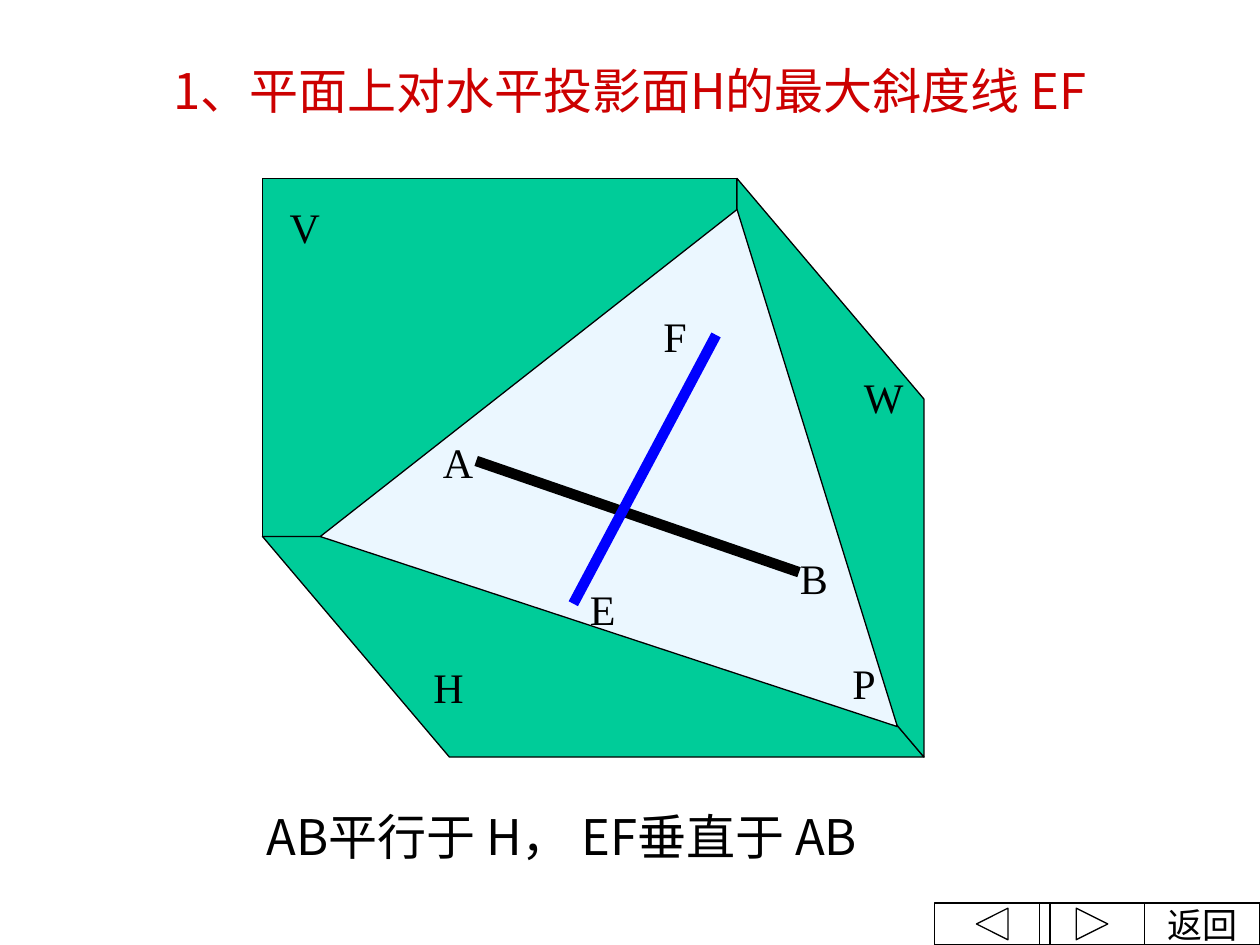
from dataclasses import dataclass

import lxml.etree
import pptx
import pptx.dml.color
import pptx.enum.shapes
import pptx.enum.text
import pptx.oxml.ns
import pptx.util

COLUMNS, ROWS = 120, 90
SHAPES = pptx.enum.shapes.MSO_SHAPE
ALIGN = pptx.enum.text.PP_ALIGN
LATIN, HAN, HAN_SC = "Times New Roman", "Noto Sans CJK JP", "Noto Sans CJK SC"
GREEN, PALE, BLACK, BLUE, RED = "00CC99", "EBF7FF", "000000", "0000FF", "CC0000"

Point = tuple[float, float]
Box = tuple[float, float, float, float]


@dataclass
class Plane:
    corners: list[Point]
    fill: str


@dataclass
class Label:
    text: str
    box: Box


@dataclass
class Segment:
    start: Point
    end: Point
    color: str


@dataclass
class Button:
    kind: pptx.enum.shapes.MSO_SHAPE
    left: float
    width: float
    text: str = ""


deck = pptx.Presentation()
deck.slide_width = pptx.util.Inches(10)
deck.slide_height = pptx.util.Inches(7.5)
slide = deck.slides.add_slide(deck.slide_layouts[6])


def x(column: float) -> int:
    return round(deck.slide_width * column / COLUMNS)


def y(row: float) -> int:
    return round(deck.slide_height * row / ROWS)


def place(box: Box) -> tuple[int, int, int, int]:
    left, top, width, height = box
    return x(left), y(top), x(width), y(height)


def rgb(color: str) -> pptx.dml.color.RGBColor:
    return pptx.dml.color.RGBColor.from_string(color)


def write(frame, text: str, *, size: float, color: str = BLACK, font: str = LATIN,
          align: ALIGN = ALIGN.LEFT) -> None:
    paragraph = frame.paragraphs[0]
    paragraph.alignment = align
    run = paragraph.add_run()
    run.text = text
    run.font.size = pptx.util.Pt(size)
    run.font.name = font
    run.font.color.rgb = rgb(color)
    east_asian = lxml.etree.SubElement(run._r.get_or_add_rPr(), pptx.oxml.ns.qn("a:ea"))
    east_asian.set("typeface", HAN if font == LATIN else font)


def add_frame(box: Box):
    frame = slide.shapes.add_textbox(*place(box)).text_frame
    frame.word_wrap = True
    return frame


def outline(shape, fill: str | None = None) -> None:
    shape.shadow.inherit = False
    if fill:
        shape.fill.solid()
        shape.fill.fore_color.rgb = rgb(fill)
    else:
        shape.fill.background()
    shape.line.color.rgb = rgb(BLACK)
    shape.line.width = pptx.util.Pt(0.75)


def draw_plane(plane: Plane) -> None:
    first, *others = [(x(column), y(row)) for column, row in plane.corners]
    builder = slide.shapes.build_freeform(*first)
    builder.add_line_segments(others, close=True)
    outline(builder.convert_to_shape(), plane.fill)


def draw_label(label: Label) -> None:
    write(add_frame(label.box), label.text, size=24)


def draw_segment(segment: Segment) -> None:
    line = slide.shapes.add_connector(
        pptx.enum.shapes.MSO_CONNECTOR.STRAIGHT,
        x(segment.start[0]), y(segment.start[1]), x(segment.end[0]), y(segment.end[1]))
    line.line.color.rgb = rgb(segment.color)
    line.line.width = pptx.util.Pt(6)
    lxml.etree.SubElement(line._element.spPr, pptx.oxml.ns.qn("a:effectLst"))


def draw_button(button: Button) -> None:
    shape = slide.shapes.add_shape(button.kind, *place((button.left, 86, button.width, 4)))
    outline(shape)
    if button.text:
        frame = shape.text_frame
        frame.word_wrap = False
        frame.vertical_anchor = pptx.enum.text.MSO_ANCHOR.MIDDLE
        write(frame, button.text, size=20, align=ALIGN.CENTER)


left, hinge_x, right = 25, 70.2, 88
top, hinge_y, bottom = 17, 51.1, 72.1
depth_x, depth_y = right - hinge_x, bottom - hinge_y

vertical_plane = slide.shapes.add_shape(
    SHAPES.RECTANGLE, *place((left, top, hinge_x - left, hinge_y - top)))
outline(vertical_plane, GREEN)

planes = [
    Plane([(left, hinge_y), (left + depth_x, bottom), (right, bottom), (hinge_x, hinge_y)], GREEN),
    Plane([(hinge_x, top), (right, top + depth_y), (right, bottom), (hinge_x, hinge_y)], GREEN),
    Plane([(30.5, hinge_y), (hinge_x, 19.95), (85.47, 69.2)], PALE),
]
segments = [
    Segment((76.1, 54.5), (45.35, 43.9), BLACK),
    Segment((68.2, 31.9), (54.6, 57.5), BLUE),
]
labels = [
    Label("V", (26.4, 18.6, 8.2, 6)),
    Label("H", (40.1, 62.4, 8.2, 6)),
    Label("W", (81.1, 34.8, 5.5, 6)),
    Label("P", (80, 62, 5, 6)),
    Label("B", (75, 52, 10.9, 6)),
    Label("A", (41, 41, 10.9, 6)),
    Label("E", (55, 55, 10.9, 6)),
    Label("F", (62, 29, 10.9, 6)),
]
buttons = [
    Button(SHAPES.ACTION_BUTTON_CUSTOM, 109, 11, "返回"),
    Button(SHAPES.ACTION_BUTTON_BACK_OR_PREVIOUS, 89, 11),
    Button(SHAPES.ACTION_BUTTON_FORWARD_OR_NEXT, 99, 10),
]

for plane in planes:
    draw_plane(plane)
for segment in segments:
    draw_segment(segment)
for label in labels:
    draw_label(label)

title = add_frame((0, 5.2, COLUMNS, 10))
for words, font in [("1、平面上对水平投影面", HAN), ("H", HAN_SC), ("的最大斜度线 EF", HAN)]:
    write(title, words, size=28, color=RED, font=font, align=ALIGN.CENTER)
write(add_frame((24.2, 76.2, 66, 6.8)), "AB平行于 H， EF垂直于 AB", size=28, font=HAN)

for button in buttons:
    draw_button(button)

deck.save("out.pptx")
